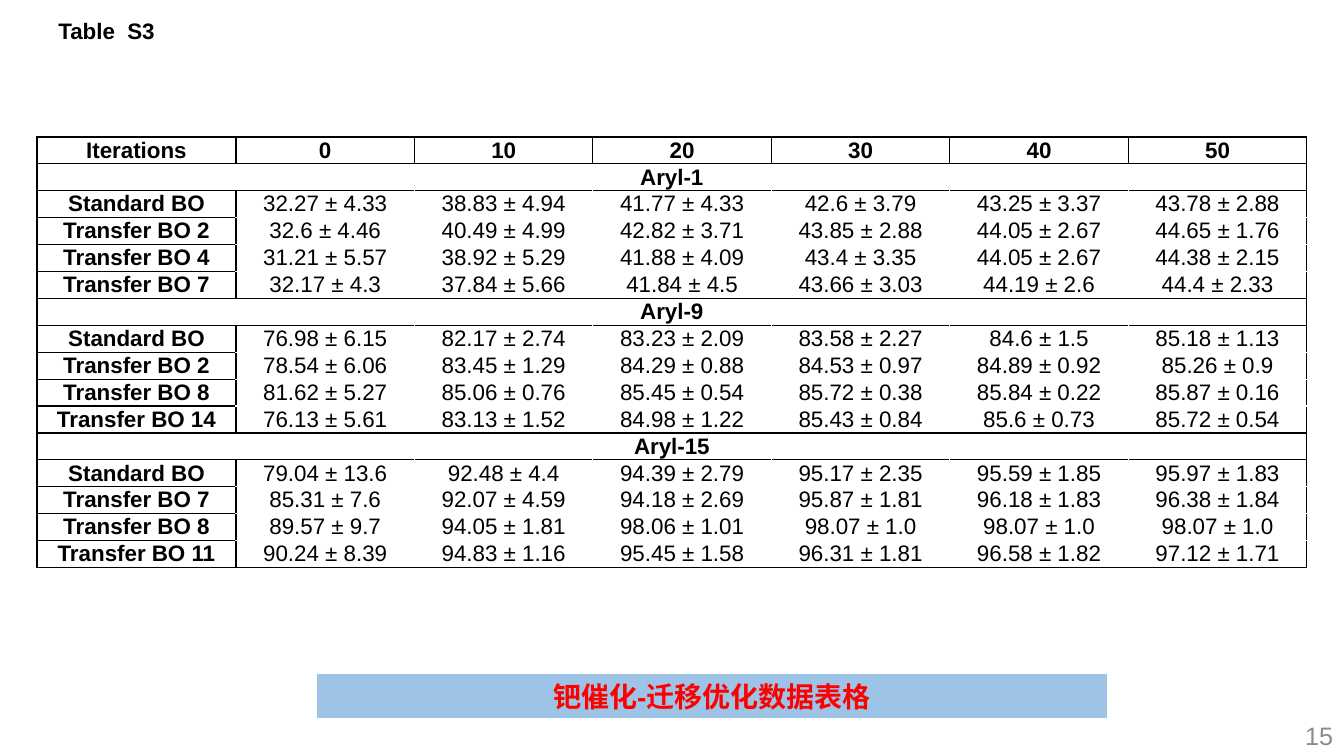
from lxml import etree
from pptx import Presentation
from pptx.dml.color import RGBColor
from pptx.enum.shapes import MSO_SHAPE
from pptx.enum.text import MSO_ANCHOR, PP_ALIGN
from pptx.oxml.ns import qn
from pptx.util import Pt

RECT = MSO_SHAPE.RECTANGLE
MIDDLE = MSO_ANCHOR.MIDDLE
CENTER, RIGHT = PP_ALIGN.CENTER, PP_ALIGN.RIGHT
COLORS = {"black": "000000", "white": "FFFFFF", "red": "FF0000",
          "gray": "8C8C8C", "bar": "9DC3E6"}
PX = 914400 / 100.8

HEADER = ["Iterations", "0", "10", "20", "30", "40", "50"]
SECTIONS = {
    "Aryl-1": [
        ["Standard BO", "32.27 ± 4.33", "38.83 ± 4.94", "41.77 ± 4.33", "42.6 ± 3.79", "43.25 ± 3.37", "43.78 ± 2.88"],
        ["Transfer BO 2", "32.6 ± 4.46", "40.49 ± 4.99", "42.82 ± 3.71", "43.85 ± 2.88", "44.05 ± 2.67", "44.65 ± 1.76"],
        ["Transfer BO 4", "31.21 ± 5.57", "38.92 ± 5.29", "41.88 ± 4.09", "43.4 ± 3.35", "44.05 ± 2.67", "44.38 ± 2.15"],
        ["Transfer BO 7", "32.17 ± 4.3", "37.84 ± 5.66", "41.84 ± 4.5", "43.66 ± 3.03", "44.19 ± 2.6", "44.4 ± 2.33"],
    ],
    "Aryl-9": [
        ["Standard BO", "76.98 ± 6.15", "82.17 ± 2.74", "83.23 ± 2.09", "83.58 ± 2.27", "84.6 ± 1.5", "85.18 ± 1.13"],
        ["Transfer BO 2", "78.54 ± 6.06", "83.45 ± 1.29", "84.29 ± 0.88", "84.53 ± 0.97", "84.89 ± 0.92", "85.26 ± 0.9"],
        ["Transfer BO 8", "81.62 ± 5.27", "85.06 ± 0.76", "85.45 ± 0.54", "85.72 ± 0.38", "85.84 ± 0.22", "85.87 ± 0.16"],
        ["Transfer BO 14", "76.13 ± 5.61", "83.13 ± 1.52", "84.98 ± 1.22", "85.43 ± 0.84", "85.6 ± 0.73", "85.72 ± 0.54"],
    ],
    "Aryl-15": [
        ["Standard BO", "79.04 ± 13.6", "92.48 ± 4.4", "94.39 ± 2.79", "95.17 ± 2.35", "95.59 ± 1.85", "95.97 ± 1.83"],
        ["Transfer BO 7", "85.31 ± 7.6", "92.07 ± 4.59", "94.18 ± 2.69", "95.87 ± 1.81", "96.18 ± 1.83", "96.38 ± 1.84"],
        ["Transfer BO 8", "89.57 ± 9.7", "94.05 ± 1.81", "98.06 ± 1.01", "98.07 ± 1.0", "98.07 ± 1.0", "98.07 ± 1.0"],
        ["Transfer BO 11", "90.24 ± 8.39", "94.83 ± 1.16", "95.45 ± 1.58", "96.31 ± 1.81", "96.58 ± 1.82", "97.12 ± 1.71"],
    ],
}


def px(*lengths):
    return [round(n * PX) for n in lengths]


def write(tf, text, size, color, bold, align):
    p = tf.paragraphs[0]
    p.alignment = align
    r = p.add_run()
    r.text = text
    for name, value in {"name": "Arial", "size": Pt(size), "bold": bold}.items():
        setattr(r.font, name, value)
    r.font.color.rgb = RGBColor.from_string(COLORS[color])


prs = Presentation()
prs.slide_width, prs.slide_height = px(1344, 756)
s = prs.slides.add_slide(prs.slide_layouts[6])

bar = s.shapes.add_shape(RECT, *px(317, 674, 790, 44))
bar.shadow.inherit = False
bar.fill.solid()
bar.fill.fore_color.rgb = RGBColor.from_string(COLORS["bar"])
bar.line.fill.background()
bar.text_frame.vertical_anchor = MIDDLE
write(bar.text_frame, "钯催化-迁移优化数据表格", 20, "red", True, CENTER)

for box, text, size, color, bold, align in [
    ((1041, 715, 302, 40), "15", 18, "gray", False, RIGHT),
    ((0, 12, 213, 37), "Table  S3", 16, "black", True, CENTER),
]:
    tf = s.shapes.add_textbox(*px(*box)).text_frame
    tf.word_wrap = True
    tf.vertical_anchor = MIDDLE
    write(tf, text, size, color, bold, align)

rows = [HEADER]
title_rows, first_rows, last_rows = set(), set(), set()
for title, results in SECTIONS.items():
    title_rows.add(len(rows))
    first_rows.add(len(rows) + 1)
    last_rows.add(len(rows) + len(results))
    rows += [[title] + [""] * (len(HEADER) - 1)] + results

last_col = len(HEADER) - 1
frame = s.shapes.add_table(len(rows), len(HEADER), *px(37, 137, 1270, 430))
table = frame.table
table.first_row = table.horz_banding = False
for c, column in enumerate(table.columns):
    column.width = px(199 if c == 0 else (1270 - 199) / last_col)[0]
for row in table.rows:
    row.height = px(19)[0]
frame.height = px(430)[0]

for i, values in enumerate(rows):
    for c, text in enumerate(values):
        cell = table.cell(i, c)
        heading = i == 0 or i in title_rows or c == 0
        cell.vertical_anchor = MIDDLE
        cell.margin_left, cell.margin_right = px(7, 7)
        cell.margin_top = cell.margin_bottom = 0
        if text:
            write(cell.text_frame, text, 16, "black", heading, CENTER)
        black_sides = {"lnL": heading or c == 1, "lnR": heading or c == last_col,
                       "lnT": heading or i in first_rows, "lnB": heading or i in last_rows}
        tcPr = cell._tc.get_or_add_tcPr()
        for side, black in black_sides.items():
            ln = etree.SubElement(tcPr, qn("a:" + side), w=str(Pt(1)))
            fill = etree.SubElement(ln, qn("a:solidFill"))
            etree.SubElement(fill, qn("a:srgbClr"), val=COLORS["black" if black else "white"])
        cell.fill.background()

for i in title_rows:
    table.cell(i, 0).merge(table.cell(i, last_col))

prs.save("out.pptx")
